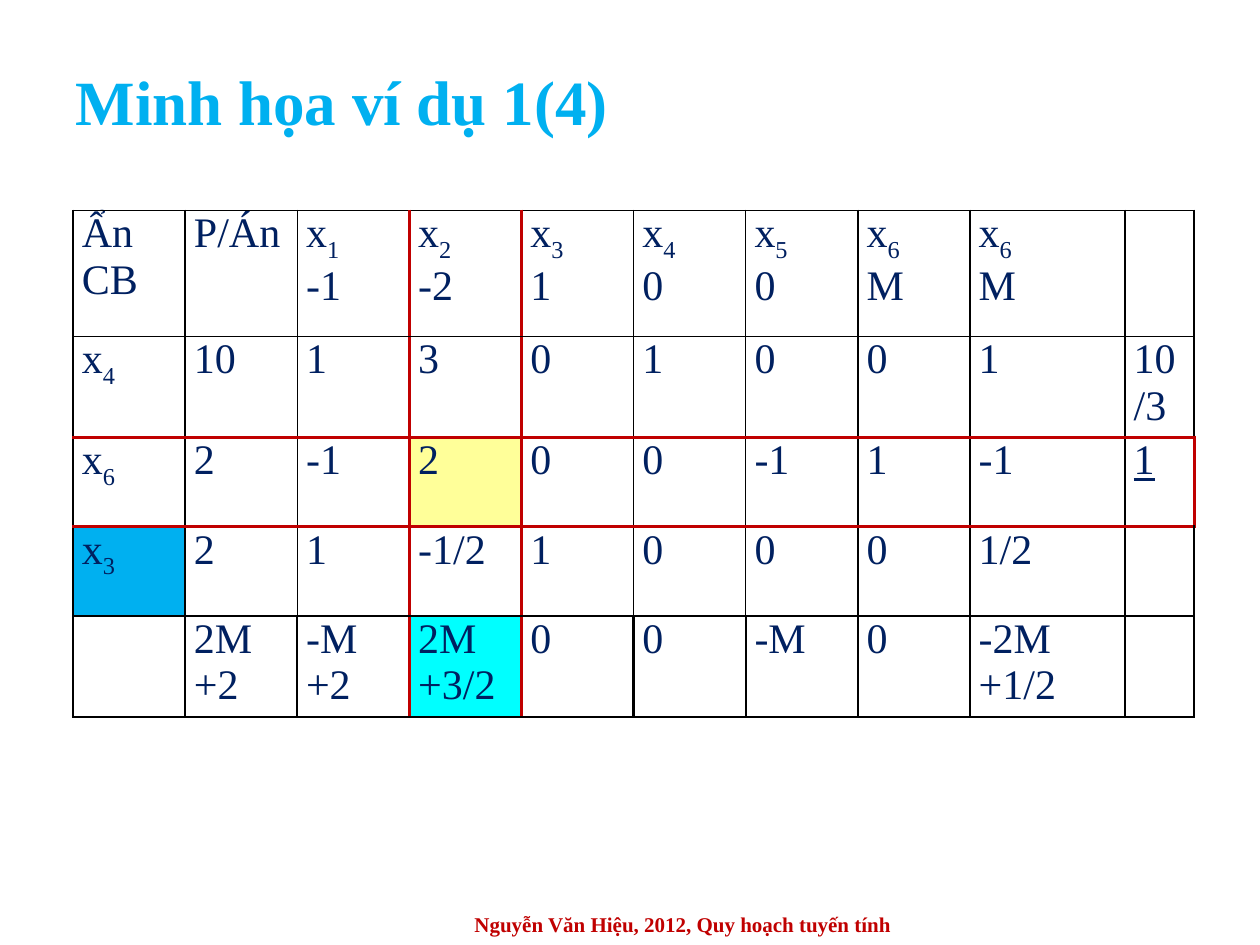
import pptx
import pptx.dml.color
import pptx.enum.text
import pptx.oxml.ns
import pptx.util
from lxml import etree

Inches = pptx.util.Inches
Pt = pptx.util.Pt
RGBColor = pptx.dml.color.RGBColor
PP_ALIGN = pptx.enum.text.PP_ALIGN
MSO_ANCHOR = pptx.enum.text.MSO_ANCHOR

FONT = "Times New Roman"
SKY = RGBColor(0x00, 0xB0, 0xF0)
RED = RGBColor(0xC0, 0x00, 0x00)
NAVY = RGBColor(0x00, 0x20, 0x60)
BLACK = RGBColor(0x00, 0x00, 0x00)
YELLOW = RGBColor(0xFF, 0xFF, 0x99)
CYAN = RGBColor(0x00, 0xFF, 0xFF)

# Simplex tableau: "_" starts a subscript, a line break starts a paragraph
TABLEAU = [
    ["Ẩn CB", "P/Án", "x_1\n-1", "x_2\n-2", "x_3\n1", "x_4\n0", "x_5\n0", "x_6\nM", "x_6\nM", ""],
    ["x_4", "10", "1", "3", "0", "1", "0", "0", "1", "10/3"],
    ["x_6", "2", "-1", "2", "0", "0", "-1", "1", "-1", "1"],
    ["x_3", "2", "1", "-1/2", "1", "0", "0", "0", "1/2", ""],
    ["", "2M\n+2", "-M\n+2", "2M\n+3/2", "0", "0", "-M", "0", "-2M +1/2", ""],
]
COLUMN_WIDTHS = [0.89] * 8 + [1.23, 0.55]
ROW_HEIGHTS = [1, 0.74, 0.71, 0.71, 0.74]
PIVOT_ROW, PIVOT_COLUMN = 2, 3
LAST_ROW, LAST_COLUMN = len(TABLEAU) - 1, len(COLUMN_WIDTHS) - 1
CELL_FILLS = {(2, 3): YELLOW, (3, 0): SKY, (4, 3): CYAN}
RATIO_CELL = (PIVOT_ROW, LAST_COLUMN)


def format_paragraph(paragraph, size, color, bold, alignment):
    paragraph.alignment = alignment
    font = paragraph.font
    font.name, font.size, font.bold = FONT, Pt(size), bold
    font.color.rgb = color


def place(shape, box):
    shape.left, shape.top, shape.width, shape.height = map(Inches, box)


def add_title(slide, box):
    title = slide.shapes.title
    place(title, box)
    title.text_frame.text = "Minh họa ví dụ 1(4)"
    title.text_frame.vertical_anchor = MSO_ANCHOR.MIDDLE
    format_paragraph(title.text_frame.paragraphs[0], 36, SKY, True, PP_ALIGN.LEFT)


def add_footer(slide, box):
    frame = slide.shapes.add_textbox(*map(Inches, box)).text_frame
    frame.word_wrap = True
    frame.vertical_anchor = MSO_ANCHOR.MIDDLE
    frame.text = "Nguyễn Văn Hiệu, 2012, Quy hoạch tuyến tính"
    format_paragraph(frame.paragraphs[0], 12, RED, True, PP_ALIGN.CENTER)


def write_cell(cell, text):
    cell.margin_left = cell.margin_right = Inches(0.07)
    cell.margin_top = cell.margin_bottom = 0
    frame = cell.text_frame
    for index, line in enumerate(text.split("\n")):
        paragraph = frame.add_paragraph() if index else frame.paragraphs[0]
        format_paragraph(paragraph, 24, NAVY, False, PP_ALIGN.JUSTIFY)
        base, _, subscript = line.partition("_")
        if base:
            paragraph.add_run().text = base
        if subscript:
            run = paragraph.add_run()
            run.text = subscript
            run.font._element.set("baseline", "-25000")


def horizontal_edge(edge):
    """Line above row number edge."""
    if edge in (PIVOT_ROW, PIVOT_ROW + 1):
        return RED, 2.25
    return BLACK, 1.5 if edge >= LAST_ROW else 1


def vertical_edge(row, edge):
    """Line to the left of column number edge."""
    right_of_ratio = (row, edge) == (PIVOT_ROW, LAST_COLUMN + 1)
    if edge in (PIVOT_COLUMN, PIVOT_COLUMN + 1) or right_of_ratio:
        return RED, 2.25
    return BLACK, 1.5 if row == LAST_ROW else 1


def draw_borders(cell, row, column):
    edges = {
        "a:lnL": vertical_edge(row, column),
        "a:lnR": vertical_edge(row, column + 1),
        "a:lnT": horizontal_edge(row),
        "a:lnB": horizontal_edge(row + 1),
    }
    qn = pptx.oxml.ns.qn
    properties = cell._tc.get_or_add_tcPr()
    for tag, (color, width) in edges.items():
        line = etree.SubElement(properties, qn(tag), w=str(Pt(width)))
        fill = etree.SubElement(line, qn("a:solidFill"))
        etree.SubElement(fill, qn("a:srgbClr"), val=str(color))


def add_tableau(slide, left, top):
    table = slide.shapes.add_table(
        len(TABLEAU), len(COLUMN_WIDTHS), Inches(left), Inches(top),
        Inches(sum(COLUMN_WIDTHS)), Inches(sum(ROW_HEIGHTS))).table
    table.first_row = table.horz_banding = False
    for column, width in zip(table.columns, COLUMN_WIDTHS):
        column.width = Inches(width)
    for row, height in zip(table.rows, ROW_HEIGHTS):
        row.height = Inches(height)

    for row, texts in enumerate(TABLEAU):
        for column, text in enumerate(texts):
            cell = table.cell(row, column)
            write_cell(cell, text)
            draw_borders(cell, row, column)
            if (row, column) in CELL_FILLS:
                cell.fill.solid()
                cell.fill.fore_color.rgb = CELL_FILLS[row, column]
            else:
                cell.fill.background()

    # Smallest ratio is underlined
    table.cell(*RATIO_CELL).text_frame.paragraphs[0].runs[0].font.underline = True


def main():
    presentation = pptx.Presentation()
    presentation.slide_width, presentation.slide_height = Inches(10), Inches(7.5)
    slide = presentation.slides.add_slide(presentation.slide_layouts[5])
    add_title(slide, (0.5, 0.42, 9, 0.75))
    add_footer(slide, (2.92, 7.17, 5, 0.33))
    add_tableau(slide, 0.58, 1.67)
    presentation.save("out.pptx")


if __name__ == "__main__":
    main()
